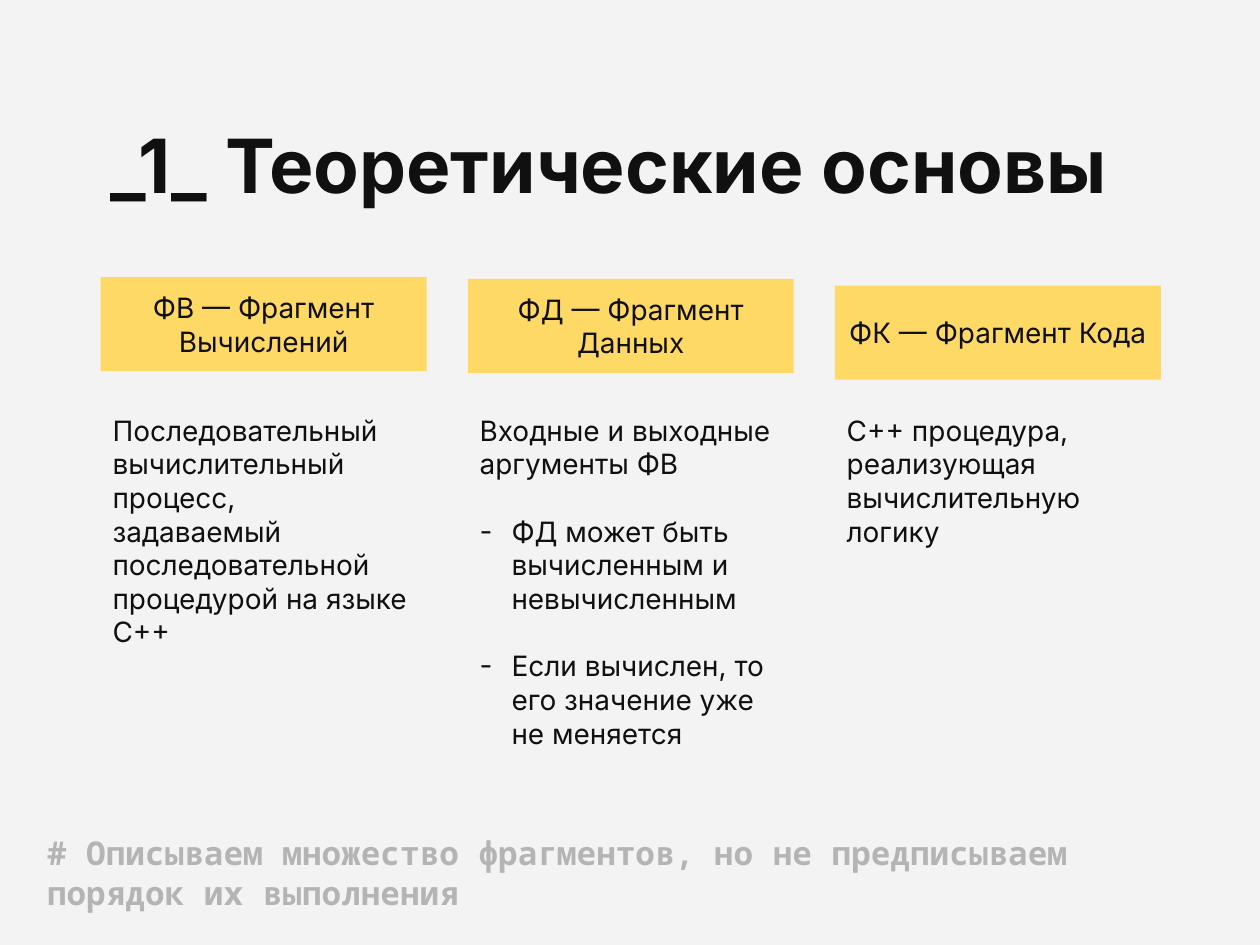
import pptx
import pptx.util
import pptx.dml.color
import pptx.enum.shapes
import pptx.enum.text
import pptx.oxml.ns
import lxml.etree
from pptx.util import Inches, Pt

COLORS = {"bg": "F3F3F3", "ink": "111010", "box": "FFD966", "note": "B4B4B4"}

TITLE = "_1_ Теоретические основы"
NOTE = "# Описываем множество фрагментов, но не предписываем порядок их выполнения"

# Each column: heading, top of heading box, paragraph, bullets
COLUMNS = [
    ("ФВ — Фрагмент Вычислений", 1.65,
     "Последовательный вычислительный процесс, задаваемый последовательной процедурой на языке C++",
     []),
    ("ФД — Фрагмент Данных", 1.66,
     "Входные и выходные аргументы ФВ",
     ["ФД может быть вычисленным и невычисленным",
      "Если вычислен, то его значение уже не меняется"]),
    ("ФК — Фрагмент Кода", 1.7,
     "С++ процедура, реализующая вычислительную логику",
     []),
]

SLIDE_W = Inches(7.5)
SLIDE_H = SLIDE_W * 3 // 4
FIRST_X, LAST_X, COL_W = 0.6, 4.97, 1.94
PITCH = (LAST_X - FIRST_X) / (len(COLUMNS) - 1)
HEAD_H, BODY_TOP, BODY_H = 0.56, 2.39, 1.24
INSET, INDENT = 0.07, 0.19
BULLET_GAP = 14.5


def rgb(name):
    return pptx.dml.color.RGBColor.from_string(COLORS[name])


def set_dash(p, font):
    pPr = p._p.get_or_add_pPr()
    pPr.set("marL", str(Inches(INDENT)))
    pPr.set("indent", str(-Inches(INDENT)))
    for tag, key, value in (("a:buFont", "typeface", font), ("a:buChar", "char", "-")):
        lxml.etree.SubElement(pPr, pptx.oxml.ns.qn(tag)).set(key, value)


def add_text(s, text, x, y, w, h, size=12, font="Inter", color="ink",
             bold=False, fill=None, bullets=(), right=INSET):
    box = [Inches(v) for v in (x, y, w, h)]
    if fill:
        sp = s.shapes.add_shape(pptx.enum.shapes.MSO_SHAPE.RECTANGLE, *box)
        sp.shadow.inherit = False
        sp.fill.solid()
        sp.fill.fore_color.rgb = rgb(fill)
        sp.line.fill.background()
    else:
        sp = s.shapes.add_textbox(*box)
    tf = sp.text_frame
    tf.word_wrap = True
    tf.margin_left = tf.margin_top = tf.margin_bottom = Inches(INSET)
    tf.margin_right = Inches(right)
    anchor = pptx.enum.text.MSO_ANCHOR
    tf.vertical_anchor = anchor.MIDDLE if fill else anchor.TOP
    align = pptx.enum.text.PP_ALIGN
    for i, line in enumerate([text, *bullets]):
        p = tf.add_paragraph() if i else tf.paragraphs[0]
        p.alignment = align.CENTER if fill else align.LEFT
        if i:
            p.space_before = Pt(BULLET_GAP)
            set_dash(p, font)
        r = p.add_run()
        r.text = line
        r.font.size, r.font.name, r.font.bold = Pt(size), font, bold
        r.font.color.rgb = rgb(color)
    return sp


def main():
    prs = pptx.Presentation()
    prs.slide_width, prs.slide_height = SLIDE_W, SLIDE_H
    s = prs.slides.add_slide(prs.slide_layouts[6])
    s.background.fill.solid()
    s.background.fill.fore_color.rgb = rgb("bg")

    # Title
    add_text(s, TITLE, 0.59, 0.64, 6.32, 0.47, size=32, bold=True)

    # Three columns of definitions
    for i, (heading, top, body, bullets) in enumerate(COLUMNS):
        x = FIRST_X + i * PITCH
        add_text(s, heading, x, top, COL_W, HEAD_H, fill="box")
        add_text(s, body, x, BODY_TOP, COL_W, BODY_H, bullets=bullets, right=0.09)

    # Closing remark
    add_text(s, NOTE, 0.21, 4.89, 6.32, 0.47, size=14, font="Noto Sans Mono",
             color="note", bold=True)

    prs.save("out.pptx")


if __name__ == "__main__":
    main()
